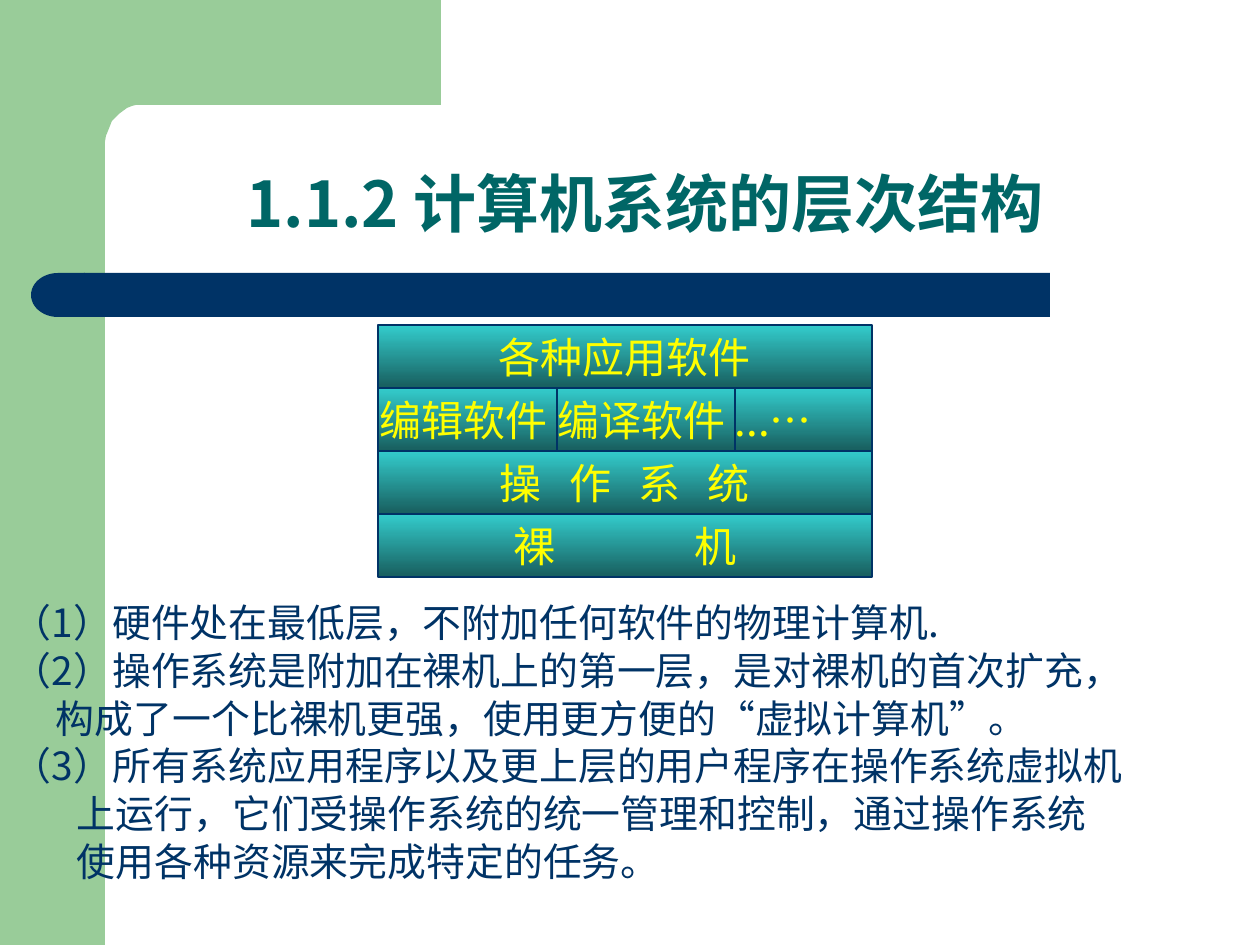
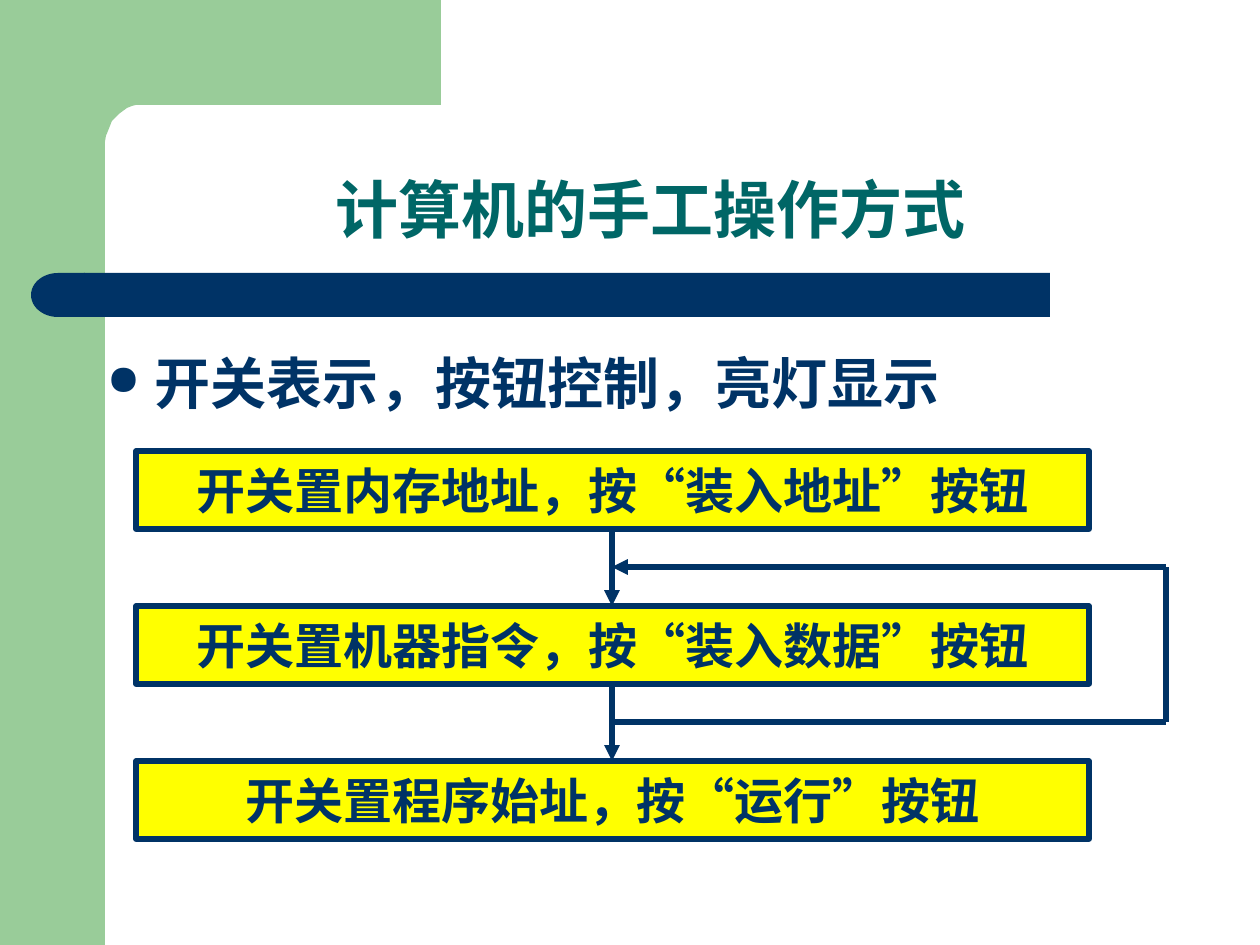
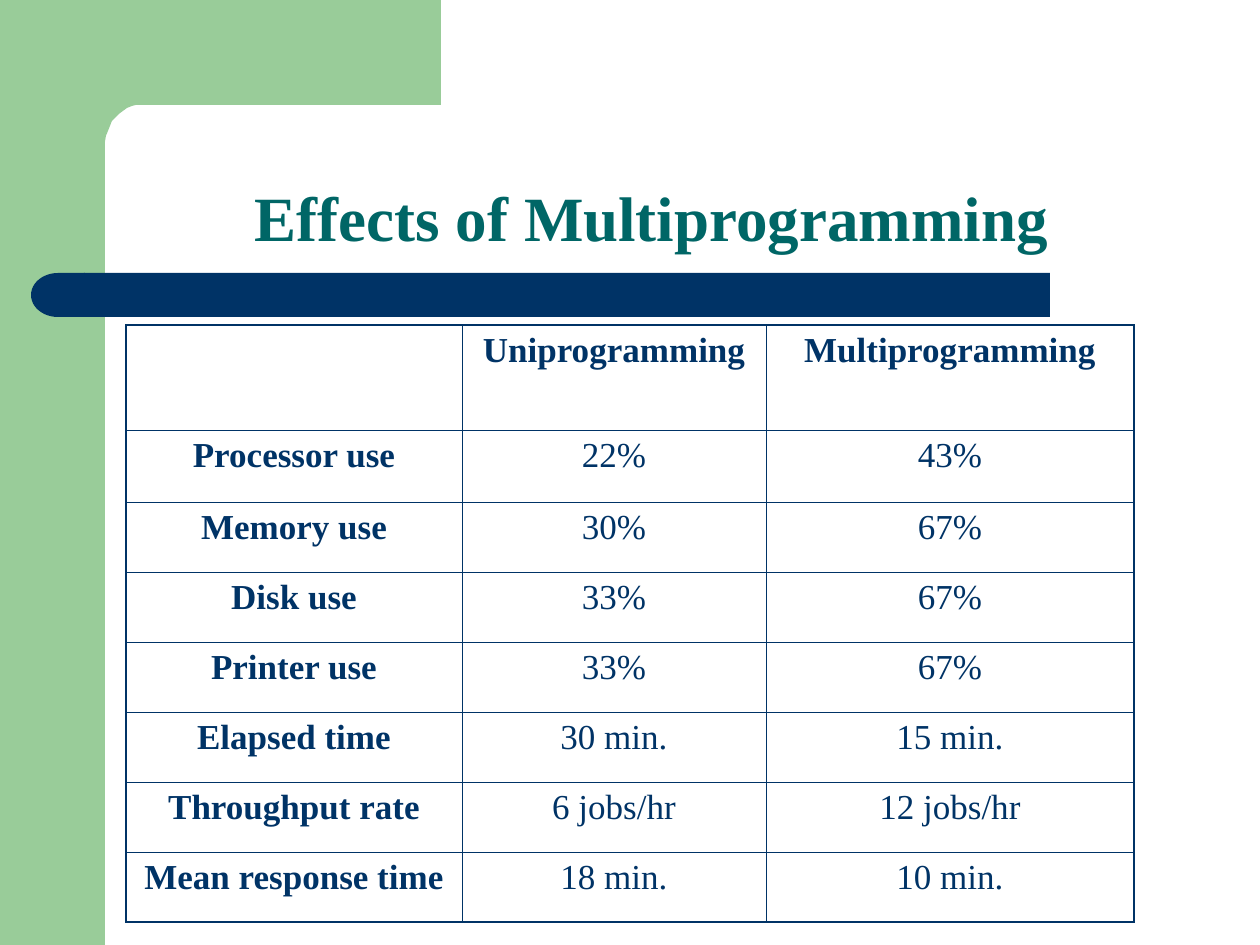
from math import cos, pi, sin

from pptx import Presentation
from pptx.dml.color import RGBColor as Rgb
from pptx.enum.shapes import MSO_CONNECTOR as Link, MSO_SHAPE as Kind
from pptx.enum.text import MSO_ANCHOR as Anchor, PP_ALIGN as Align
from pptx.oxml import parse_xml
from pptx.oxml.ns import nsdecls, qn
from pptx.util import Emu, Pt

LAYERS = [
    ("各种应用软件", Align.CENTER, 0),
    ("编辑软件 编译软件 ...…", Align.LEFT, 0),
    ("操 作 系 统", Align.CENTER, 9),
    ("裸 机", Align.CENTER, 65),
]
NOTES = [
    ("（1）硬件处在最低层，不附加任何软件的物理计算机.", 0),
    ("（2）操作系统是附加在裸机上的第一层，是对裸机的首次扩充，", 0),
    ("构成了一个比裸机更强，使用更方便的“虚拟计算机”。", 43),
    ("（3）所有系统应用程序以及更上层的用户程序在操作系统虚拟机", 0),
    ("上运行，它们受操作系统的统一管理和控制，通过操作系统", 64),
    ("使用各种资源来完成特定的任务。", 64),
]
POINT = "开关表示，按钮控制，亮灯显示"
STEPS = [
    "开关置内存地址，按“装入地址”按钮",
    "开关置机器指令，按“装入数据”按钮",
    "开关置程序始址，按“运行”按钮",
]
EFFECTS = [
    ("", "Uniprogramming", "Multiprogramming"),
    ("Processor use", "22%", "43%"),
    ("Memory use", "30%", "67%"),
    ("Disk use", "33%", "67%"),
    ("Printer use", "33%", "67%"),
    ("Elapsed time", "30 min.", "15 min."),
    ("Throughput rate", "6 jobs/hr", "12 jobs/hr"),
    ("Mean response time", "18 min.", "10 min."),
]


class Theme:
    green, navy, teal, yellow = "99CC99", "003366", "006666", "FFFF00"
    aqua, deep = "33CCCC", "185E5E"
    han, sans, serif = "Noto Sans CJK SC", "Arial", "Times New Roman"
    title, point, step, layer, note, cell = 36, 32, 28, 24, 22.2, 20
    thin, bold, edge, rule = 0.75, 3, 1.08, 0.45


PX = 914400 / 126


def px(num):
    return Emu(round(num * PX))


def area(box):
    return [px(num) for num in box]


def style(run, size, tint, face, bold=False, gap=0):
    font = run.font
    font.size, font.bold, font.name = Pt(size), bold, face
    font.color.rgb = Rgb.from_string(tint)
    props = run._r.get_or_add_rPr()
    props.set("lang", "zh-CN")
    if gap:
        props.set("spc", str(round(gap * 7200 / 126)))
    props.find(qn("a:latin")).addnext(
        parse_xml(f'<a:ea {nsdecls("a")} typeface="{Theme.han}"/>'))


def frame(shape, side=13, edge=6):
    text = shape.text_frame
    text.word_wrap = True
    text.vertical_anchor = Anchor.MIDDLE
    text.margin_left = text.margin_right = px(side)
    text.margin_top = text.margin_bottom = px(edge)
    return text


def write(para, text, size, tint, face, bold=False, align=Align.CENTER):
    para.text = text
    para.alignment = align
    for run in para.runs:
        style(run, size, tint, face, bold)


def paint(shape, tint):
    shape.shadow.inherit = False
    shape.fill.solid()
    shape.fill.fore_color.rgb = Rgb.from_string(tint)
    shape.line.fill.background()


def outline(line, width):
    line.color.rgb = Rgb.from_string(Theme.navy)
    line.width = Pt(width)


def join(slide, start, end, width, arrow=False):
    link = slide.shapes.add_connector(Link.STRAIGHT, *area(start + end))
    outline(link.line, width)
    props = link.element.spPr
    if arrow:
        props.find(qn("a:ln")).append(
            parse_xml(f'<a:tailEnd {nsdecls("a")} type="triangle"/>'))
    props.append(parse_xml(f'<a:effectLst {nsdecls("a")}/>'))


def base(deck, title, box, face):
    slide = deck.slides.add_slide(deck.slide_layouts[6])
    shapes = slide.shapes
    paint(shapes.add_shape(Kind.RECTANGLE, *area((0, 0, 105, 945))), Theme.green)
    turns = [pi / 2 * step / 12 for step in range(13)]
    arc = [(141 - 36 * sin(turn), 147 - 42 * cos(turn)) for turn in turns]
    form = shapes.build_freeform(441, 0, scale=PX)
    form.add_line_segments([(441, 105), *arc, (105, 161), (63, 161), (63, 0)])
    paint(form.convert_to_shape(), Theme.green)
    paint(shapes.add_shape(Kind.RECTANGLE, *area((84, 273, 966, 44))), Theme.navy)
    cap = shapes.add_shape(Kind.FLOWCHART_DELAY, *area((31, 273, 54, 44)))
    paint(cap, Theme.navy)
    cap.element.spPr.find(qn("a:xfrm")).set("flipH", "1")
    head = frame(shapes.add_textbox(*area(box)))
    write(head.paragraphs[0], title, Theme.title, Theme.teal, face, True)
    return slide


def draw_layers(deck):
    slide = base(deck, "1.1.2 计算机系统的层次结构", (199, 157, 892, 90), Theme.han)
    text = frame(slide.shapes.add_textbox(*area((0, 591, 1235, 300))))
    for num, (note, inset) in enumerate(NOTES):
        para = text.paragraphs[0] if num == 0 else text.add_paragraph()
        write(para, note, Theme.note, Theme.navy, Theme.han, align=Align.LEFT)
        para.line_spacing = Pt(27.3)
        para._p.get_or_add_pPr().set("marL", str(px(inset)))
    left, top, wide, high = 378, 325, 494, 63
    for num, (name, align, gap) in enumerate(LAYERS):
        box = (left, top + num * high, wide, high)
        bar = slide.shapes.add_shape(Kind.RECTANGLE, *area(box))
        bar.shadow.inherit = False
        bar.fill.gradient()
        bar.fill.gradient_angle = 270
        for stop, tint in zip(bar.fill.gradient_stops, (Theme.aqua, Theme.deep)):
            stop.color.rgb = Rgb.from_string(tint)
        outline(bar.line, Theme.thin)
        para = frame(bar, 2).paragraphs[0]
        para.text = name[:-1]
        para.alignment = align
        style(para.runs[0], Theme.layer, Theme.yellow, Theme.han, gap=gap)
        last = para.add_run()
        last.text = name[-1]
        style(last, Theme.layer, Theme.yellow, Theme.han)
    for x in (557, 735):
        join(slide, (x, top + high), (x, top + 2 * high), Theme.thin)


def draw_steps(deck):
    slide = base(deck, "计算机的手工操作方式", (115, 164, 1072, 88), Theme.sans)
    para = frame(slide.shapes.add_textbox(*area((94, 336, 1036, 93)))).paragraphs[0]
    props = para._p.get_or_add_pPr()
    props.set("marL", str(px(48)))
    props.set("indent", str(-px(48)))
    for part in (f'<a:buClr {nsdecls("a")}><a:srgbClr val="{Theme.navy}"/></a:buClr>',
                 f'<a:buSzPct {nsdecls("a")} val="75000"/>',
                 f'<a:buChar {nsdecls("a")} char="●"/>'):
        props.append(parse_xml(part))
    write(para, POINT, Theme.point, Theme.navy, Theme.sans, True, Align.LEFT)
    left, top, wide, high, pitch = 136, 451, 953, 78, 155
    mid, far = left + wide // 2, 1166
    for num, step in enumerate(STEPS):
        y = top + num * pitch
        box = slide.shapes.add_shape(Kind.RECTANGLE, *area((left, y, wide, high)))
        paint(box, Theme.yellow)
        outline(box.line, Theme.bold)
        write(frame(box, 0).paragraphs[0], step, Theme.step, Theme.navy,
              Theme.serif, True)
        if num:
            join(slide, (mid, y - pitch + high), (mid, y), Theme.bold, True)
    back = top + (high + pitch) // 2
    join(slide, (mid, back + pitch), (far, back + pitch), Theme.bold)
    join(slide, (far, back + pitch), (far, back), Theme.bold)
    join(slide, (far, back), (mid, back), Theme.bold, True)


def border(cell, row, col):
    rows, cols = len(EFFECTS) - 1, len(EFFECTS[0]) - 1
    sides = {"L": col == 0, "R": col == cols, "T": row == 0, "B": row == rows}
    props = cell._tc.get_or_add_tcPr()
    for num, (side, outer) in enumerate(sides.items()):
        width = Pt(Theme.edge if outer else Theme.rule)
        props.insert(num, parse_xml(
            f'<a:ln{side} {nsdecls("a")} w="{width}"><a:solidFill>'
            f'<a:srgbClr val="{Theme.navy}"/></a:solidFill></a:ln{side}>'))


def draw_table(deck):
    slide = base(deck, "Effects of Multiprogramming", (111, 180, 1081, 73),
                 Theme.serif)
    wides, highs = (336, 304, 368), (105, 72, *[70] * 6)
    box = (126, 325, sum(wides), sum(highs))
    grid = slide.shapes.add_table(len(highs), len(wides), *area(box)).table
    grid.first_row = grid.horz_banding = False
    for line, wide in zip(grid.columns, wides):
        line.width = px(wide)
    for line, high in zip(grid.rows, highs):
        line.height = px(high)
    for row, texts in enumerate(EFFECTS):
        for col, text in enumerate(texts):
            cell = grid.cell(row, col)
            cell.fill.background()
            border(cell, row, col)
            write(cell.text_frame.paragraphs[0], text, Theme.cell, Theme.navy,
                  Theme.serif, row == 0 or col == 0)


def main():
    deck = Presentation()
    deck.slide_width, deck.slide_height = px(1260), px(945)
    for draw in (draw_layers, draw_steps, draw_table):
        draw(deck)
    deck.save("out.pptx")


if __name__ == "__main__":
    main()
